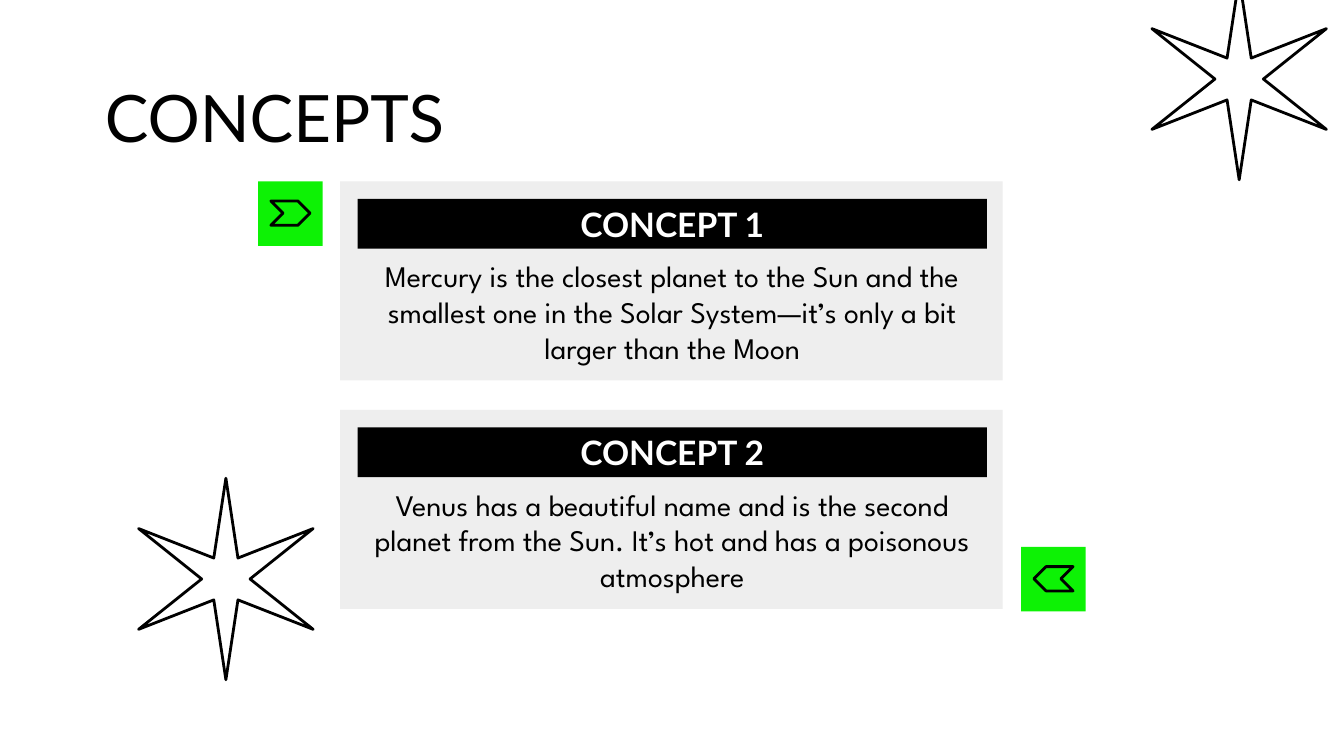
import pptx
import pptx.dml.color
import pptx.enum.shapes
import pptx.enum.text
import pptx.oxml.ns
import pptx.util
from lxml import etree
from pptx.util import Cm

BLACK = pptx.dml.color.RGBColor(0x00, 0x00, 0x00)
WHITE = pptx.dml.color.RGBColor(0xFF, 0xFF, 0xFF)
GREY = pptx.dml.color.RGBColor(0xEE, 0xEE, 0xEE)
GREEN = pptx.dml.color.RGBColor(0x0D, 0xF2, 0x05)

SHAPES = pptx.enum.shapes.MSO_SHAPE
ANCHORS = pptx.enum.text.MSO_ANCHOR
ALIGNMENTS = pptx.enum.text.PP_ALIGN

TITLE_FONT = {"name": "Lato", "size": pptx.util.Pt(35), "bold": False}
HEADING_FONT = {"name": "Lato", "size": pptx.util.Pt(18), "bold": True}
BODY_FONT = {"name": "League Spartan", "size": pptx.util.Pt(16), "bold": False}

PANEL_LEFT, PANEL_TOP, PANEL_PITCH = 6.43, 3.43, 4.32
PANEL_WIDTH, PANEL_HEIGHT = 12.52, 3.76
TEXT_LEFT, TEXT_WIDTH = 6.76, 11.89

CONCEPTS = [
    ("CONCEPT 1", "Mercury is the closest planet to the Sun and the smallest one "
                  "in the Solar System—it’s only a bit larger than the Moon"),
    ("CONCEPT 2", "Venus has a beautiful name and is the second planet from the Sun. "
                  "It’s hot and has a poisonous atmosphere"),
]


def set_attributes(target, values):
    for name, value in values.items():
        setattr(target, name, value)


def fill_placeholder(placeholder, box, text, font, color, alignment,
                     anchor=ANCHORS.TOP, inset=0, space_after=0):
    """Place a placeholder at box (left, top, width, height in cm) and write one paragraph."""
    set_attributes(placeholder, dict(zip(("left", "top", "width", "height"), map(Cm, box))))
    frame = placeholder.text_frame
    frame.text = text
    set_attributes(frame, {
        "word_wrap": True,
        "auto_size": pptx.enum.text.MSO_AUTO_SIZE.NONE,
        "vertical_anchor": anchor,
        **{f"margin_{side}": Cm(inset) for side in ("left", "top", "right", "bottom")},
    })
    paragraph = frame.paragraphs[0]
    properties = paragraph._p.get_or_add_pPr()
    properties.set("marL", "0")
    properties.set("indent", "0")
    etree.SubElement(properties, pptx.oxml.ns.qn("a:buNone"))
    set_attributes(paragraph, {
        "alignment": alignment,
        "line_spacing": 1.0,
        "space_before": pptx.util.Pt(0),
        "space_after": pptx.util.Pt(space_after),
    })
    run_font = paragraph.runs[0].font
    set_attributes(run_font, font)
    run_font.color.rgb = color


def add_block(slide, box, color):
    shape = slide.shapes.add_shape(SHAPES.RECTANGLE, *map(Cm, box))
    shape.shadow.inherit = False
    shape.fill.solid()
    shape.fill.fore_color.rgb = color
    shape.line.fill.background()
    return shape


def add_outline(slide, kind, box, adjustment, rotation=0):
    """Add an unfilled shape with a black line and rounded corners."""
    shape = slide.shapes.add_shape(kind, *map(Cm, box))
    shape.shadow.inherit = False
    shape.adjustments[0] = adjustment
    shape.rotation = rotation
    shape.fill.background()
    shape.line.color.rgb = BLACK
    shape.line.width = pptx.util.Pt(1.5)
    line = shape._element.spPr.find(pptx.oxml.ns.qn("a:ln"))
    etree.SubElement(line, pptx.oxml.ns.qn("a:round"))


def add_star(slide, left, top):
    add_outline(slide, SHAPES.STAR_6_POINT, (left, top, 3.3, 3.81), 0.12)


def add_arrow_icon(slide, left, top, rotation=0):
    add_block(slide, (left, top, 1.22, 1.22), GREEN)
    add_outline(slide, SHAPES.CHEVRON, (left + 0.24, top + 0.37, 0.74, 0.46), 0.5, rotation)


def add_concept(slide, index, heading, description):
    top = PANEL_TOP + index * PANEL_PITCH
    panel = add_block(slide, (PANEL_LEFT, top, PANEL_WIDTH, PANEL_HEIGHT), GREY)
    slide.shapes._spTree.insert(2, panel._element)  # behind the text

    heading_box, description_box = list(slide.placeholders)[1 + 2 * index:3 + 2 * index]
    fill_placeholder(description_box, (TEXT_LEFT, top + 1.19, TEXT_WIDTH, 2.51),
                     description, BODY_FONT, BLACK, ALIGNMENTS.CENTER, inset=0.25)
    fill_placeholder(heading_box, (TEXT_LEFT, top + 0.33, TEXT_WIDTH, 0.94),
                     heading, HEADING_FONT, WHITE, ALIGNMENTS.CENTER,
                     ANCHORS.MIDDLE, space_after=12)
    heading_box.fill.solid()
    heading_box.fill.fore_color.rgb = BLACK


def main():
    presentation = pptx.Presentation()
    presentation.slide_width, presentation.slide_height = Cm(25.4), Cm(14.29)
    comparison_layout = presentation.slide_layouts[4]
    slide = presentation.slides.add_slide(comparison_layout)

    fill_placeholder(slide.shapes.title, (1.98, 1.45, 21.44, 1.6), "CONCEPTS",
                     TITLE_FONT, BLACK, ALIGNMENTS.LEFT)
    for index, (heading, description) in enumerate(CONCEPTS):
        add_concept(slide, index, heading, description)
    add_star(slide, 21.77, -0.41)
    add_star(slide, 2.62, 9.04)
    add_arrow_icon(slide, 19.3, 10.34, rotation=180)
    add_arrow_icon(slide, 4.88, 3.43)
    presentation.save("out.pptx")


if __name__ == "__main__":
    main()
